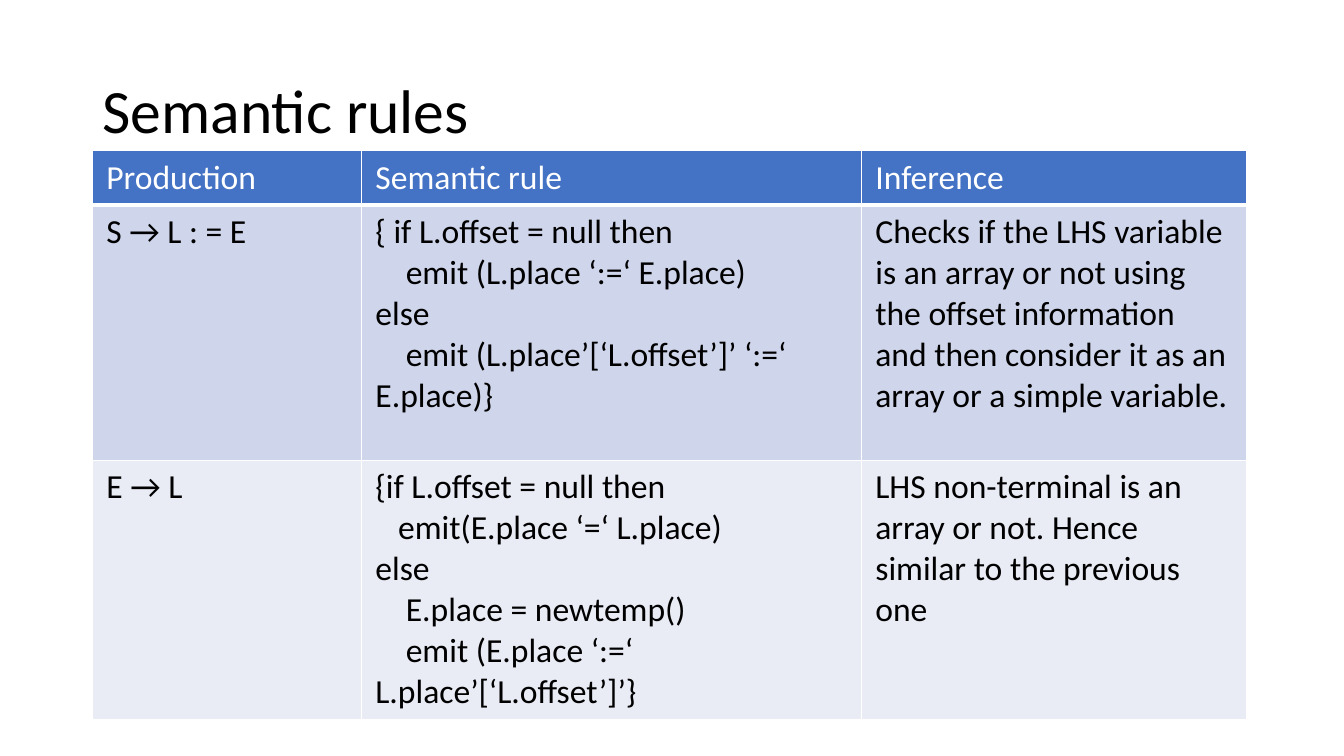
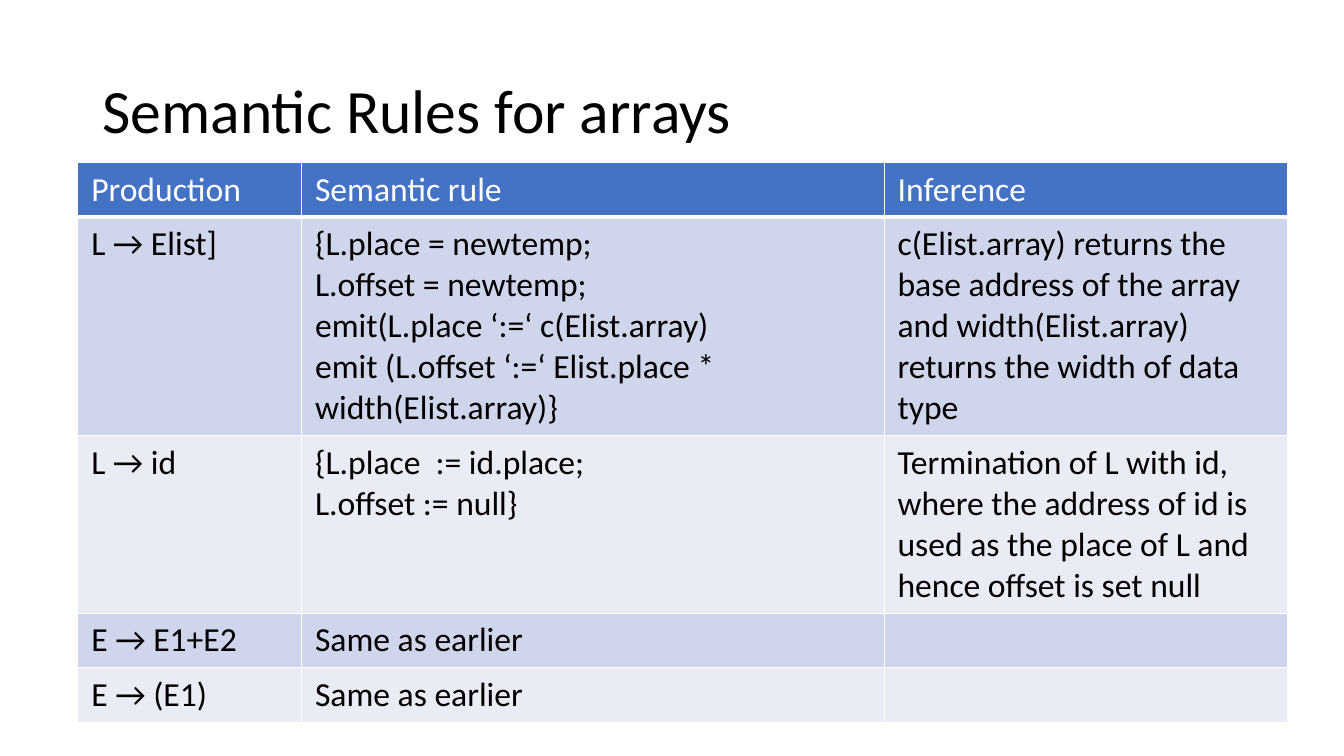
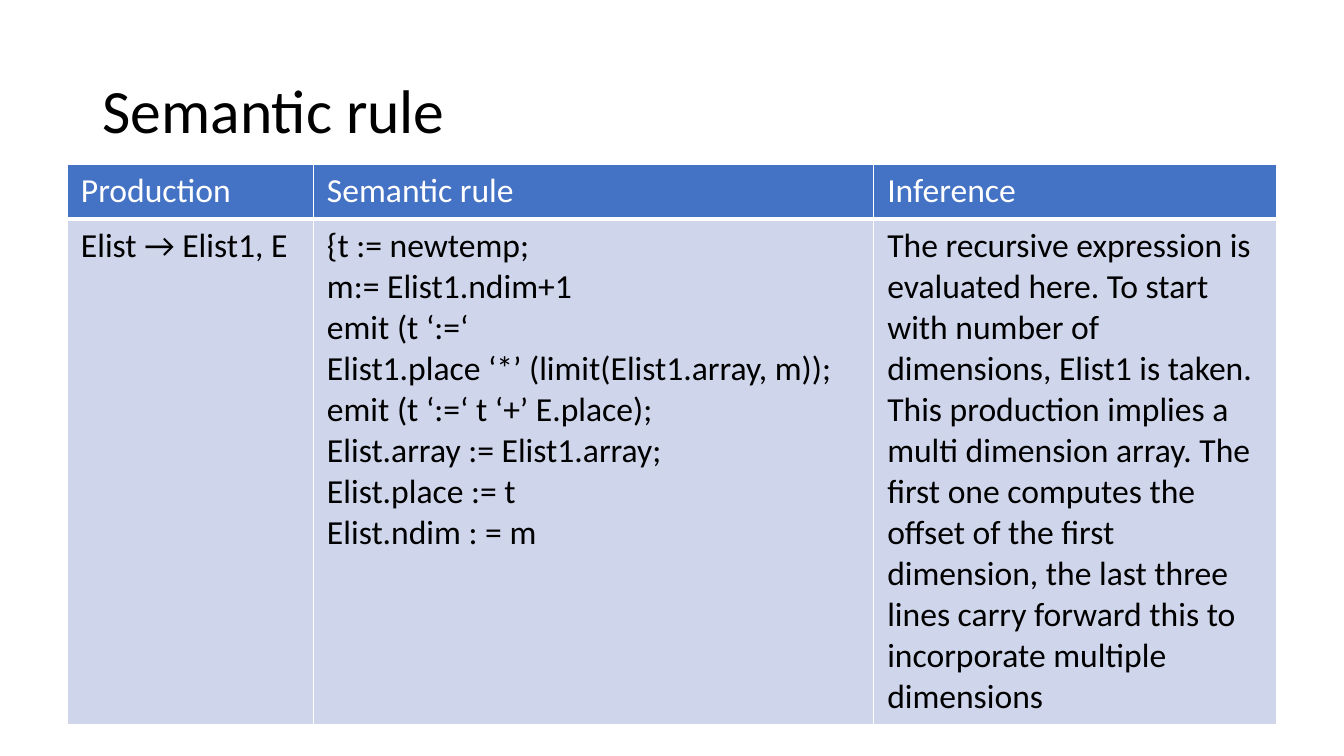
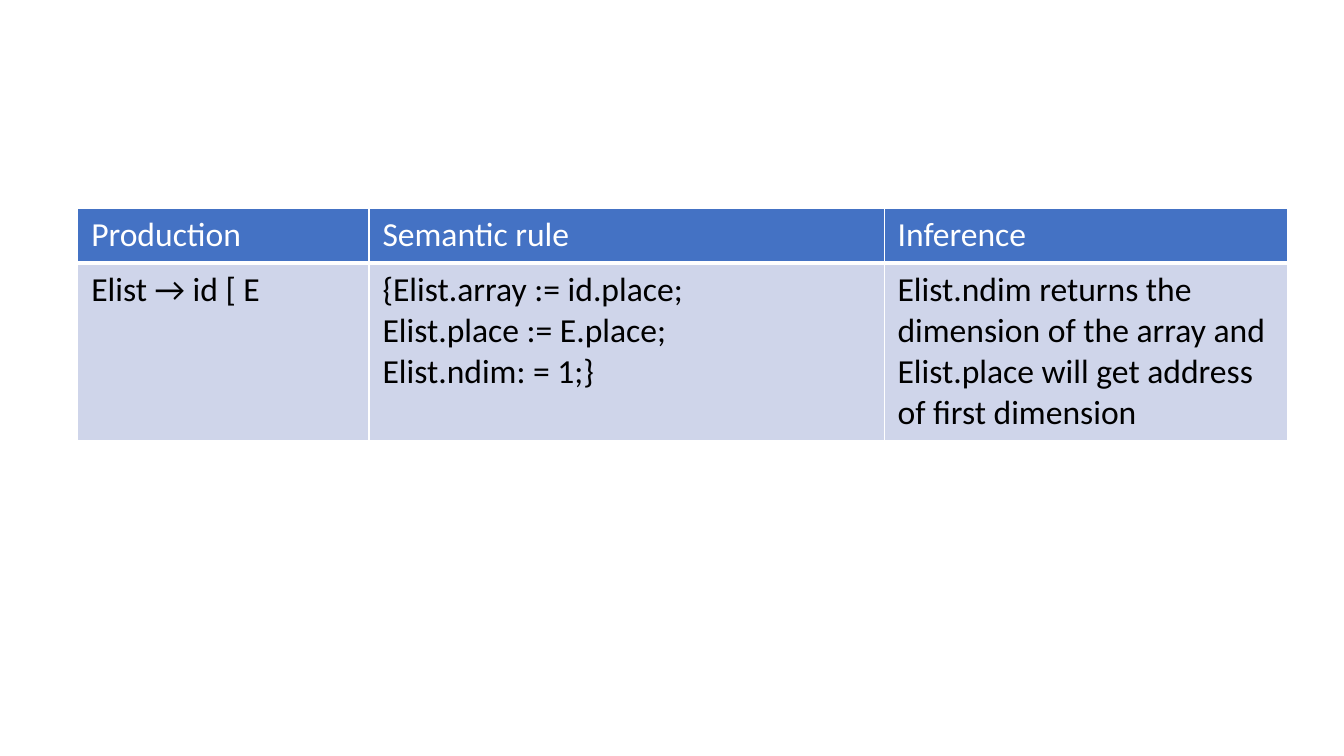
from dataclasses import dataclass

from lxml import etree
from pptx import Presentation
from pptx.dml.color import RGBColor
from pptx.enum.text import MSO_ANCHOR, MSO_AUTO_SIZE, PP_ALIGN
from pptx.oxml.ns import qn
from pptx.presentation import Presentation as Deck
from pptx.slide import Slide
from pptx.table import _Cell as Cell
from pptx.util import Cm, Pt

LEFT = PP_ALIGN.LEFT
MIDDLE = MSO_ANCHOR.MIDDLE
TOP = MSO_ANCHOR.TOP
NO_AUTOFIT = MSO_AUTO_SIZE.NONE

COLOURS = {
    "header": "4472C4",
    "odd_row": "CFD5EA",
    "even_row": "E9EBF5",
    "border": "FFFFFF",
    "header_text": "FFFFFF",
    "text": "000000",
}
FONT = "Calibri"
TITLE_SIZE = 44
CELL_SIZE = 24
HEADER_HEIGHT = 1.37
TITLE_ONLY_LAYOUT = 5
BLANK_LAYOUT = 6
HEADINGS = ("Production", "Semantic rule", "Inference")


@dataclass(frozen=True)
class Rule:
    height: float
    production: str
    action: str
    inference: str = ""


@dataclass(frozen=True)
class RulePage:
    title: str
    left: float
    top: float
    widths: tuple[float, ...]
    rules: tuple[Rule, ...]


PAGES = (
    RulePage("Semantic rules", 2.34, 3.79, (6.78, 12.6, 9.7), (
        Rule(
            6.43,
            "S → L : = E",
            "{ if L.offset = null then\n"
            "    emit (L.place ‘:=‘ E.place)\n"
            "else\n"
            "    emit (L.place’[‘L.offset’]’ ‘:=‘ E.place)}",
            "Checks if the LHS variable is an array or not using the offset "
            "information and then consider it as an array or a simple variable.",
        ),
        Rule(
            6.43,
            "E → L",
            "{if L.offset = null then\n"
            "   emit(E.place ‘=‘ L.place)\n"
            "else\n"
            "    E.place = newtemp()\n"
            "    emit (E.place ‘:=‘ L.place’[‘L.offset’]’}",
            "LHS non-terminal is an array or not. Hence similar to the previous one",
        ),
    )),
    RulePage("Semantic Rules for arrays", 1.96, 4.1, (5.64, 14.68, 10.16), (
        Rule(
            5.41,
            "L → Elist]",
            "{L.place = newtemp;\n"
            "L.offset = newtemp;\n"
            "emit(L.place ‘:=‘ c(Elist.array)\n"
            "emit (L.offset ‘:=‘ Elist.place * width(Elist.array)}",
            "c(Elist.array) returns the base address of the array and "
            "width(Elist.array) returns the width of data type",
        ),
        Rule(
            4.39,
            "L → id",
            "{L.place  := id.place;\n"
            "L.offset := null}",
            "Termination of L with id, where the address of id is used as the "
            "place of L and hence offset is set null",
        ),
        Rule(HEADER_HEIGHT, "E → E1+E2", "Same as earlier"),
        Rule(HEADER_HEIGHT, "E → (E1)", "Same as earlier"),
    )),
    RulePage("Semantic rule", 1.7, 4.14, (6.2, 14.12, 10.16), (
        Rule(
            12.52,
            "Elist → Elist1, E",
            "{t := newtemp;\n"
            "m:= Elist1.ndim+1\n"
            "emit (t ‘:=‘\n"
            "Elist1.place ‘*’ (limit(Elist1.array, m));\n"
            "emit (t ‘:=‘ t ‘+’ E.place);\n"
            "Elist.array := Elist1.array;\n"
            "Elist.place := t\n"
            "Elist.ndim : = m",
            "The recursive expression is evaluated here. To start with number of "
            "dimensions, Elist1 is taken. This production implies a multi "
            "dimension array. The first one computes the offset of the first "
            "dimension, the last three lines carry forward this to incorporate "
            "multiple dimensions",
        ),
    )),
    RulePage("", 1.96, 5.25, (7.34, 12.98, 10.16), (
        Rule(
            4.39,
            "Elist → id [ E",
            "{Elist.array := id.place;\n"
            "Elist.place := E.place;\n"
            "Elist.ndim: = 1;}",
            "Elist.ndim returns the dimension of the array and Elist.place will "
            "get address of first dimension",
        ),
    )),
)


def colour(name: str) -> RGBColor:
    return RGBColor.from_string(COLOURS[name])


def add_title(page: Slide, text: str) -> None:
    title = page.shapes.title
    title.left, title.top, title.width, title.height = (
        Cm(2.33), Cm(1.01), Cm(29.21), Cm(3.68)
    )
    frame = title.text_frame
    frame.text = text
    frame.auto_size = NO_AUTOFIT
    frame.vertical_anchor = MIDDLE
    paragraph = frame.paragraphs[0]
    paragraph.alignment = LEFT
    paragraph.line_spacing = 0.9
    paragraph.font.name = FONT
    paragraph.font.size = Pt(TITLE_SIZE)
    paragraph.font.color.rgb = colour("text")


def add_borders(cell: Cell, bottom_width: int) -> None:
    properties = cell._tc.get_or_add_tcPr()
    for side, width in (("L", 1), ("R", 1), ("T", 1), ("B", bottom_width)):
        line = etree.SubElement(properties, qn(f"a:ln{side}"), w=str(Pt(width)))
        fill = etree.SubElement(line, qn("a:solidFill"))
        etree.SubElement(fill, qn("a:srgbClr"), val=COLOURS["border"])


def fill_cell(cell: Cell, text: str, fill: str, is_header: bool) -> None:
    add_borders(cell, 3 if is_header else 1)
    cell.fill.solid()
    cell.fill.fore_color.rgb = colour(fill)
    cell.margin_left = cell.margin_right = Cm(0.34)
    cell.margin_top = cell.margin_bottom = Cm(0.17)
    cell.vertical_anchor = TOP
    cell.text_frame.text = text
    for paragraph in cell.text_frame.paragraphs:
        paragraph.font.name = FONT
        paragraph.font.size = Pt(CELL_SIZE)
        paragraph.font.bold = False
        paragraph.font.color.rgb = colour("header_text" if is_header else "text")


def add_rule_table(page: Slide, content: RulePage) -> None:
    heights = [HEADER_HEIGHT] + [rule.height for rule in content.rules]
    texts = [HEADINGS] + [
        (rule.production, rule.action, rule.inference) for rule in content.rules
    ]
    table = page.shapes.add_table(
        len(texts), len(HEADINGS), Cm(content.left), Cm(content.top),
        Cm(sum(content.widths)), Cm(sum(heights)),
    ).table
    for column, width in zip(table.columns, content.widths):
        column.width = Cm(width)
    for index, (row, height, row_texts) in enumerate(zip(table.rows, heights, texts)):
        row.height = Cm(height)
        is_header = index == 0
        fill = "header" if is_header else "odd_row" if index % 2 else "even_row"
        for cell, text in zip(row.cells, row_texts):
            fill_cell(cell, text, fill, is_header)


def add_page(deck: Deck, content: RulePage) -> None:
    layout = TITLE_ONLY_LAYOUT if content.title else BLANK_LAYOUT
    page = deck.slides.add_slide(deck.slide_layouts[layout])
    if content.title:
        add_title(page, content.title)
    add_rule_table(page, content)


def main() -> None:
    deck = Presentation()
    deck.slide_width, deck.slide_height = Cm(33.87), Cm(19.05)
    for content in PAGES:
        add_page(deck, content)
    deck.save("out.pptx")


if __name__ == "__main__":
    main()
